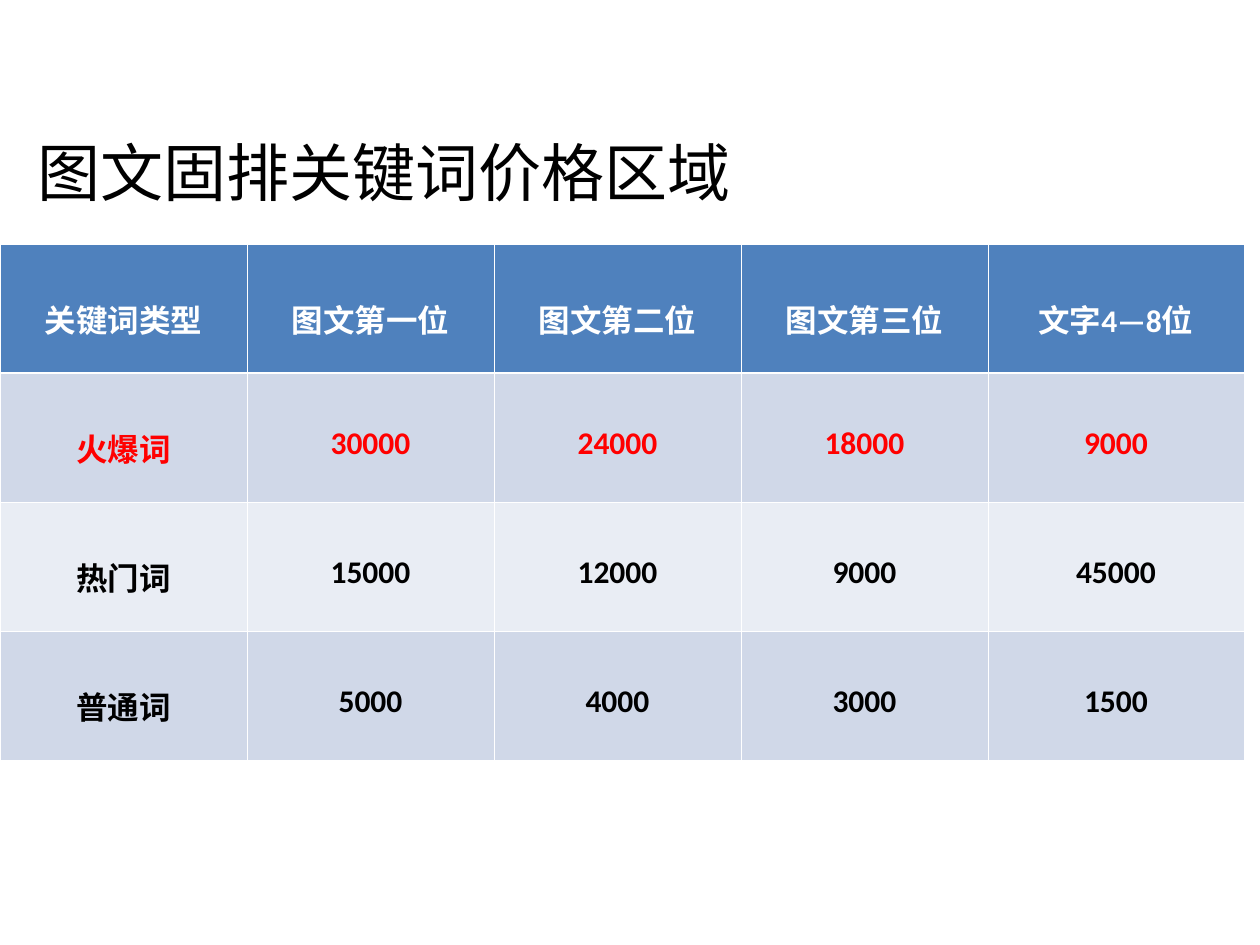
from dataclasses import dataclass

from lxml.etree import SubElement
from pptx import Presentation
from pptx.dml.color import RGBColor
from pptx.enum.text import MSO_ANCHOR, PP_ALIGN
from pptx.oxml.ns import qn
from pptx.util import Pt


@dataclass(frozen=True)
class Theme:
    white: str = "FFFFFF"
    black: str = "000000"
    red: str = "FF0000"
    header: str = "4F81BD"
    dark_band: str = "D0D8E8"
    light_band: str = "E9EDF4"
    title_font: str = "League Spartan"
    table_font: str = "Calibri"
    title_size: int = 36
    table_size: int = 18
    thin_line: float = 0.45
    thick_line: float = 1.47


THEME = Theme()
PX = 914400 / 126


def px(length):
    return round(length * PX)


def add_border(cell, side, width):
    """Draw one side of a cell; side is L, R, T or B. Call before filling."""
    line = SubElement(cell._tc.get_or_add_tcPr(), qn(f"a:ln{side}"), w=str(Pt(width)))
    fill = SubElement(line, qn("a:solidFill"))
    SubElement(fill, qn("a:srgbClr"), val=THEME.white)


deck = Presentation()
deck.slide_width, deck.slide_height = px(1260), px(945)
page = deck.slides.add_slide(deck.slide_layouts[5])

title = page.shapes.title
title.left, title.top, title.width, title.height = px(0), px(107), px(1131), px(129)
frame = title.text_frame
frame.text = "图文固排关键词价格区域"
frame.word_wrap = True
frame.vertical_anchor = MSO_ANCHOR.MIDDLE
frame.margin_left = px(38)
para = frame.paragraphs[0]
para.alignment = PP_ALIGN.LEFT
para.font.name = THEME.title_font
para.font.size = Pt(THEME.title_size)
para.font.color.rgb = RGBColor.from_string(THEME.black)

# Each row: fill, text colour, cell texts
price_rows = [
    (THEME.header, THEME.white,
     ["关键词类型", "图文第一位", "图文第二位", "图文第三位", "文字4—8位"]),
    (THEME.dark_band, THEME.red, ["火爆词", "30000", "24000", "18000", "9000"]),
    (THEME.light_band, THEME.black, ["热门词", "15000", "12000", "9000", "45000"]),
    (THEME.dark_band, THEME.black, ["普通词", "5000", "4000", "3000", "1500"]),
]
column_widths = [247] * 4 + [256]
row_height = 129

table = page.shapes.add_table(
    len(price_rows), len(column_widths), px(0), px(244),
    px(sum(column_widths)), px(row_height * len(price_rows)),
).table
for column, width in zip(table.columns, column_widths):
    column.width = px(width)

for row_index, (fill, colour, texts) in enumerate(price_rows):
    table.rows[row_index].height = px(row_height)
    for column_index, text in enumerate(texts):
        cell = table.cell(row_index, column_index)
        heavy_side = {0: "B", 1: "T"}.get(row_index)
        for side in "LRTB":
            add_border(cell, side, THEME.thick_line if side == heavy_side else THEME.thin_line)
        cell.fill.solid()
        cell.fill.fore_color.rgb = RGBColor.from_string(fill)
        cell.vertical_anchor = MSO_ANCHOR.TOP
        cell.margin_top = px(52)
        cell.text = text
        para = cell.text_frame.paragraphs[0]
        para.alignment = PP_ALIGN.CENTER
        para.font.name = THEME.table_font
        para.font.size = Pt(THEME.table_size)
        para.font.bold = True
        para.font.color.rgb = RGBColor.from_string(colour)

deck.save("out.pptx")
